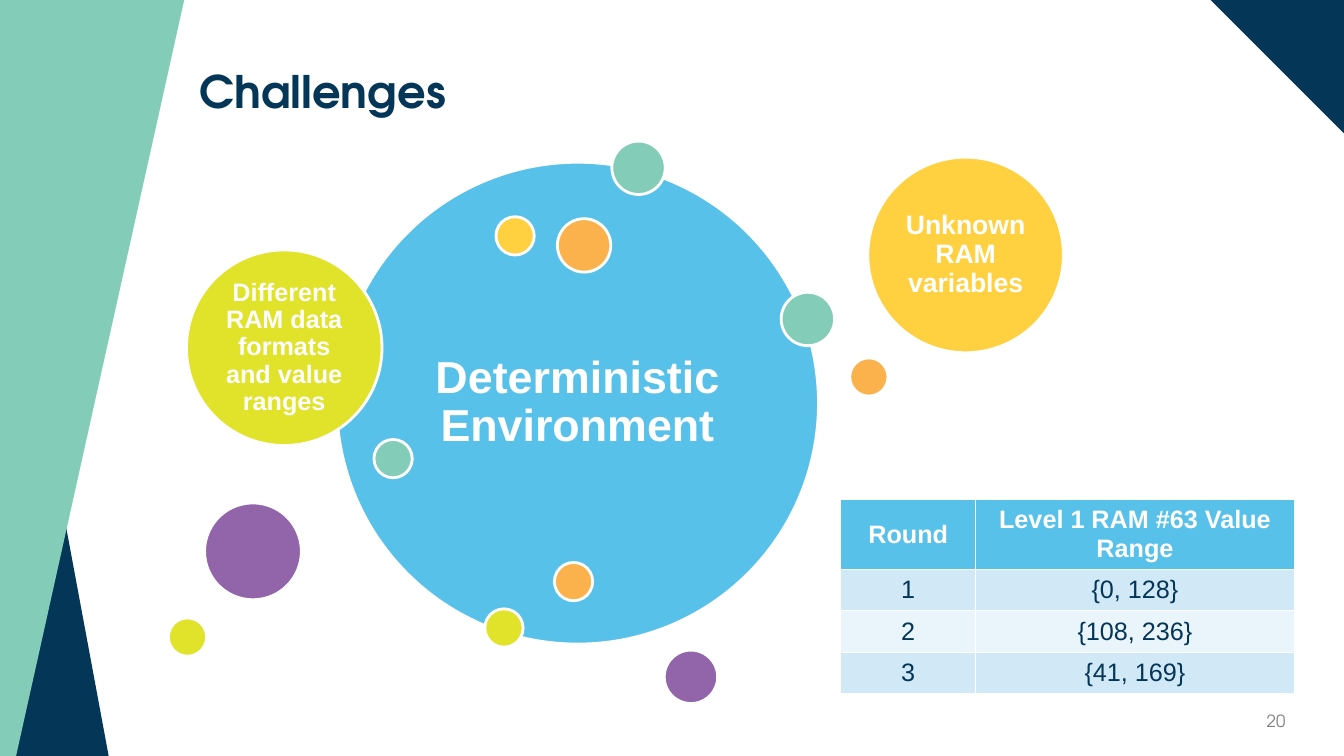
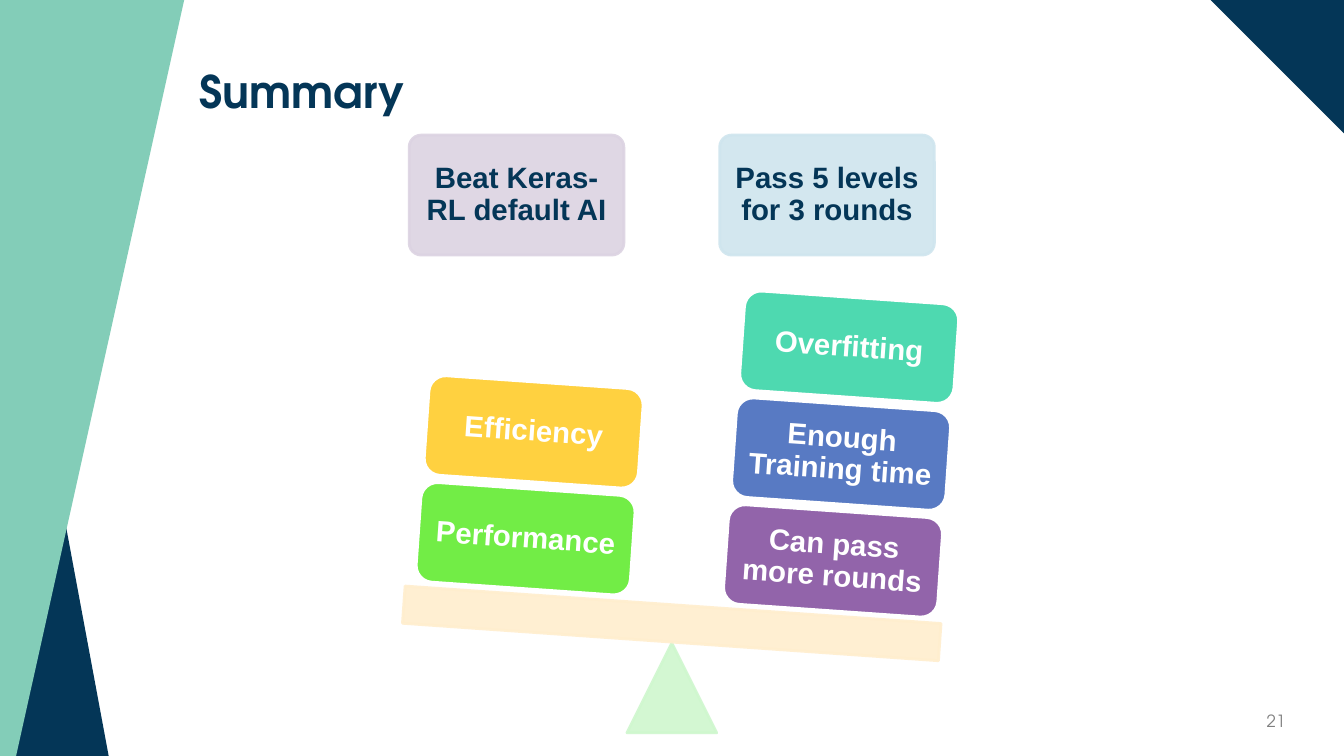
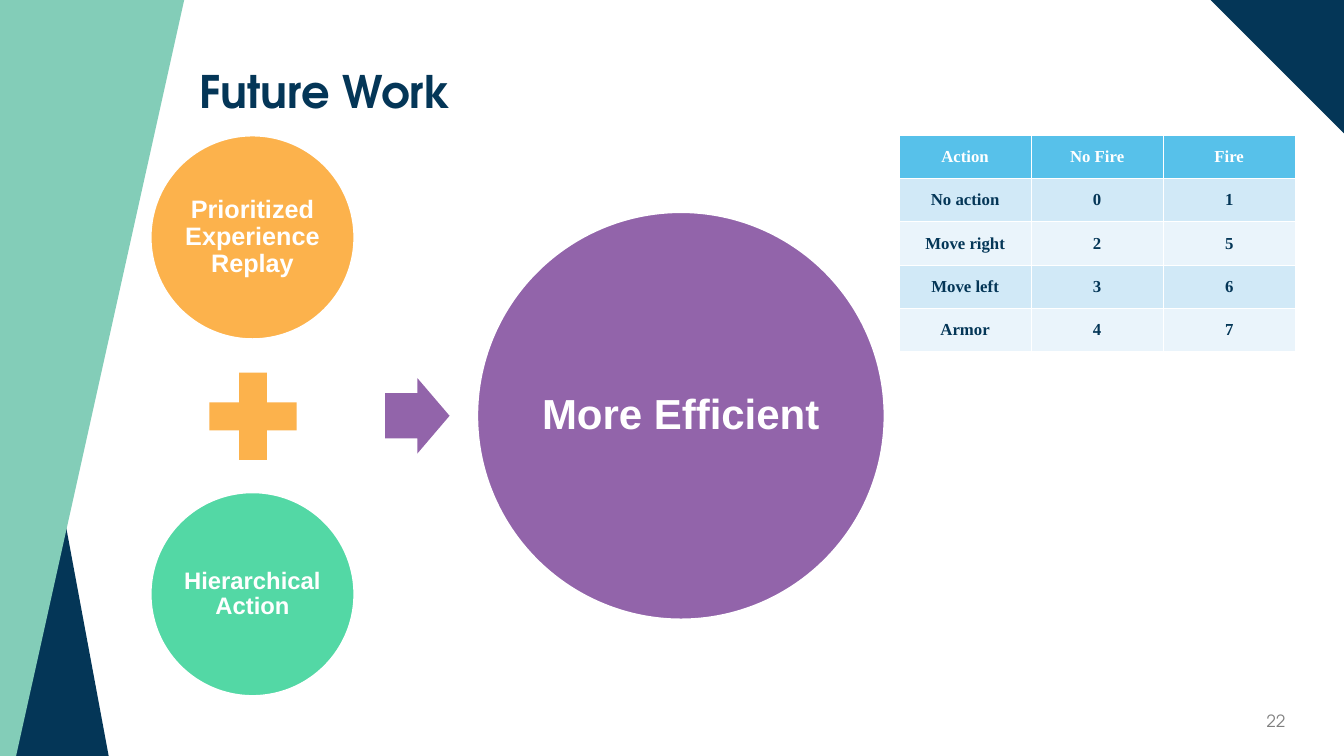
from lxml import etree
from pptx import Presentation
from pptx.dml.color import RGBColor
from pptx.enum.shapes import MSO_SHAPE
from pptx.enum.text import MSO_ANCHOR, PP_ALIGN
from pptx.oxml.ns import qn
from pptx.util import Emu, Pt

PX = 9144
SLIDE_W, SLIDE_H = 12192000, 6858000
OVAL, RECT, ROUND = MSO_SHAPE.OVAL, MSO_SHAPE.RECTANGLE, MSO_SHAPE.ROUNDED_RECTANGLE
TRIANGLE, CORNER = MSO_SHAPE.ISOSCELES_TRIANGLE, MSO_SHAPE.RIGHT_TRIANGLE
PLUS, ARROW = MSO_SHAPE.MATH_PLUS, MSO_SHAPE.RIGHT_ARROW
LEFT, CENTER, RIGHT = PP_ALIGN.LEFT, PP_ALIGN.CENTER, PP_ALIGN.RIGHT
MIDDLE = MSO_ANCHOR.MIDDLE

HEAD_FONT, BODY_FONT, SERIF_FONT = "TeX Gyre Adventor", "Arial", "Times New Roman"
COLORS = {
    "navy": "043657", "teal": "83CDB8", "white": "FFFFFF", "gray": "7F7F7F",
    "blue": "57C1EA", "lime": "E0E329", "orange": "FCB24C", "purple": "9264AA",
    "yellow": "FFD140", "indigo": "587AC3", "mint": "4ED9B0", "green": "72ED46",
    "emerald": "53D8A5", "lilac": "DCD3E2", "ice": "CFE5EE", "pale_green": "CFF7CE",
    "cream": "FFEECE", "band_dark": "D1E9F7", "band_light": "EAF4FB",
}

BAND = [(183, -1), (0, -1), (0, 750), (16, 750)]

CHALLENGE_CIRCLES = [
    (334, 161, 478, "blue", "Deterministic Environment", 32, 13),
    (607, 140, 53, "teal", "", 0, 0),
    (481, 604, 38, "lime", "", 0, 0),
    (843, 355, 38, "orange", "", 0, 0),
    (659, 645, 53, "purple", "", 0, 0),
    (492, 215, 38, "yellow", "", 0, 0),
    (371, 436, 38, "teal", "", 0, 0),
    (185, 248, 194, "lime", "Different RAM data formats and value ranges", 18, 7),
    (553, 217, 53, "orange", "", 0, 0),
    (203, 499, 96, "purple", "", 0, 0),
    (861, 156, 194, "yellow", "Unknown RAM variables", 19, 8),
    (775, 290, 53, "teal", "", 0, 0),
    (167, 613, 38, "lime", "", 0, 0),
    (550, 558, 38, "orange", "", 0, 0),
]
RANGE_ROWS = [
    ("Round", "Level 1 RAM #63 Value Range"),
    ("1", "{0, 128}"),
    ("2", "{108, 236}"),
    ("3", "{41, 169}"),
]

GOALS = [
    (406, "lilac", "Beat Keras-RL default AI"),
    (714, "ice", "Pass 5 levels for 3 rounds"),
]
TILT = 4
STACK_STEP = (8, -106)
STACKS = [
    (720, 507, [("Can pass more rounds", "purple"), ("Enough Training time", "indigo"),
                ("Overfitting", "mint")]),
    (415, 485, [("Performance", "green"), ("Efficiency", "yellow")]),
]

FUTURE_CIRCLES = [
    (149, 134, 203, "orange", "Prioritized Experience Replay", 18, 3),
    (149, 488, 203, "emerald", "Hierarchical Action", 17, 2),
    (473, 210, 405, "purple", "More Efficient", 30, 4),
]
ACTION_ROWS = [
    ("Action", "No Fire", "Fire"),
    ("No action", "0", "1"),
    ("Move right", "2", "5"),
    ("Move left", "3", "6"),
    ("Armor", "4", "7"),
]


def px(*values):
    return [Emu(v * PX) for v in values]


def rgb(name):
    return RGBColor.from_string(COLORS[name])


def write(tf, text, size, font=BODY_FONT, color="white", bold=True, align=CENTER, spacing=None):
    p = tf.paragraphs[0]
    p.alignment = align
    if spacing:
        p.line_spacing = spacing
    r = p.add_run()
    r.text = text
    r.font.name, r.font.size, r.font.bold = font, Pt(size), bold
    r.font.color.rgb = rgb(color)


def set_frame(tf, inset_x, inset_y):
    tf.word_wrap = True
    tf.vertical_anchor = MIDDLE
    tf.margin_left, tf.margin_right = px(inset_x, inset_x)
    tf.margin_top, tf.margin_bottom = px(inset_y, inset_y)


def paint(sp, fill, line=None, alpha=None):
    sp.shadow.inherit = False
    sp.fill.solid()
    sp.fill.fore_color.rgb = rgb(fill)
    if line:
        sp.line.color.rgb = rgb(line)
        sp.line.width = Pt(2)
    else:
        sp.line.fill.background()
    if alpha:
        for clr in sp._element.spPr.iter(qn("a:srgbClr")):
            etree.SubElement(clr, qn("a:alpha")).set("val", str(alpha * 1000))


def add_shape(s, kind, box, fill, line=None, alpha=None, rotation=0, adjustments=()):
    sp = s.shapes.add_shape(kind, *px(*box))
    sp.rotation = rotation
    for i, value in enumerate(adjustments):
        sp.adjustments[i] = value
    paint(sp, fill, line, alpha)
    return sp


def add_label(sp, text, size, inset, color="white"):
    set_frame(sp.text_frame, inset, inset)
    write(sp.text_frame, text, size, color=color, spacing=0.9)


def add_text(s, box, text, size, **style):
    tf = s.shapes.add_textbox(*px(*box)).text_frame
    set_frame(tf, 10, 5)
    write(tf, text, size, font=HEAD_FONT, **style)


def add_circles(s, circles):
    for x, y, d, fill, text, size, inset in circles:
        sp = add_shape(s, OVAL, (x, y, d, d), fill, "white")
        if text:
            add_label(sp, text, size, inset)


def add_grid(s, x, y, widths, row_h, rows, size, font, inset_x, inset_y, bold_body):
    box = px(x, y, sum(widths), row_h * len(rows))
    table = s.shapes.add_table(len(rows), len(widths), *box).table
    for column, width in zip(table.columns, px(*widths)):
        column.width = width
    for i, values in enumerate(rows):
        table.rows[i].height = Emu(row_h * PX)
        fill = "blue" if i == 0 else ("band_light", "band_dark")[i % 2]
        for j, text in enumerate(values):
            cell = table.cell(i, j)
            cell.fill.solid()
            cell.fill.fore_color.rgb = rgb(fill)
            cell.vertical_anchor = MIDDLE
            cell.margin_left, cell.margin_right = px(inset_x, inset_x)
            cell.margin_top, cell.margin_bottom = px(inset_y, inset_y)
            write(cell.text_frame, text, size, font=font, bold=i == 0 or bold_body,
                  color="navy" if i else "white")


def new_slide(prs, title, number):
    s = prs.slides.add_slide(prs.slide_layouts[6])
    add_shape(s, CORNER, (1200, -1, 135, 135), "navy", rotation=180)
    add_shape(s, CORNER, (0, 170, 108, 581), "navy")
    outline = s.shapes.build_freeform(*px(*BAND[0]), scale=1.0)
    outline.add_line_segments([px(*point) for point in BAND[1:]], close=True)
    paint(outline.convert_to_shape(), "teal")
    add_text(s, (985, 695, 300, 40), str(number), 12, color="gray", bold=False, align=RIGHT)
    add_text(s, (188, 40, 1097, 106), title, 32, color="navy", align=LEFT, spacing=0.9)
    return s


def build_challenges(prs):
    s = new_slide(prs, "Challenges", 20)
    add_circles(s, CHALLENGE_CIRCLES)
    add_grid(s, 834, 495, (134, 316), 41, RANGE_ROWS, 18, BODY_FONT, 10, 5, False)


def build_summary(prs):
    s = new_slide(prs, "Summary", 21)
    for x, fill, text in GOALS:
        sp = add_shape(s, ROUND, (x, 134, 213, 119), fill, fill, 90, adjustments=[0.1])
        add_label(sp, text, 21, 9, "navy")
    add_shape(s, TRIANGLE, (622, 638, 89, 89), "pale_green", "pale_green", 90)
    add_shape(s, RECT, (400, 600, 533, 37), "cream", "cream", 90, TILT)
    dx, dy = STACK_STEP
    for x, y, blocks in STACKS:
        for i, (text, fill) in enumerate(blocks):
            box = (x + i * dx, y + i * dy, 213, 99)
            add_label(add_shape(s, ROUND, box, fill, "white", rotation=TILT), text, 21, 9)


def build_future(prs):
    s = new_slide(prs, "Future Work", 22)
    add_circles(s, FUTURE_CIRCLES)
    add_shape(s, PLUS, (192, 354, 118, 118), "orange")
    add_shape(s, ARROW, (382, 375, 64, 75), "purple", adjustments=[0.6, 0.5])
    add_grid(s, 892, 134, (131, 131, 131), 43, ACTION_ROWS, 12, SERIF_FONT, 7, 0, True)


def main():
    prs = Presentation()
    prs.slide_width, prs.slide_height = SLIDE_W, SLIDE_H
    build_challenges(prs)
    build_summary(prs)
    build_future(prs)
    prs.save("out.pptx")


if __name__ == "__main__":
    main()
